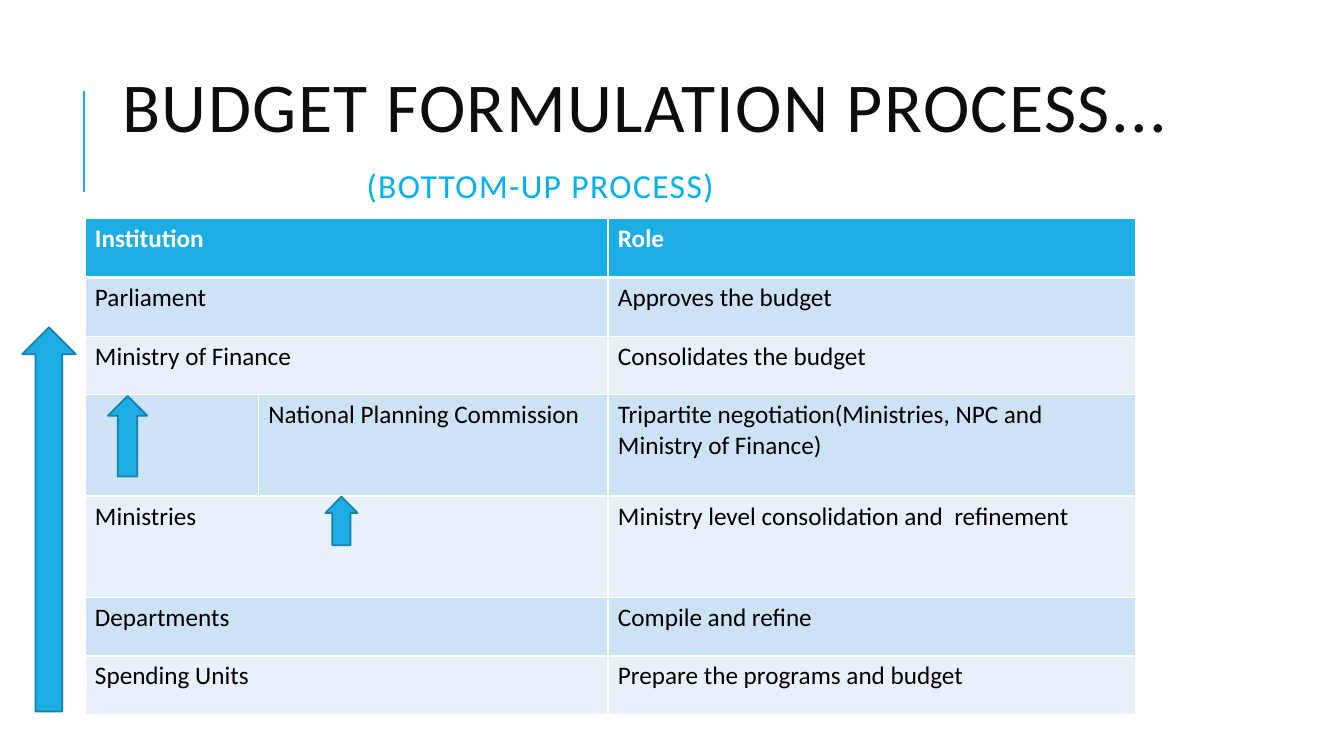
from lxml import etree
from pptx import Presentation
from pptx.dml.color import RGBColor
from pptx.enum.shapes import MSO_CONNECTOR, MSO_SHAPE
from pptx.enum.text import MSO_ANCHOR
from pptx.oxml.ns import qn
from pptx.util import Cm, Pt

LINE = MSO_CONNECTOR.STRAIGHT
UP_ARROW = MSO_SHAPE.UP_ARROW
TOP = MSO_ANCHOR.TOP

FONT = "Calibri"
ACCENT, ARROW_EDGE, WHITE, BLACK = "1CADE4", "1580A9", "FFFFFF", "000000"
BANDS = ("E8F1FA", "CDE3F5")

# text, size, colour, left indent in cm, space before in pt
HEADING = [
    ("BUDGET FORMULATION PROCESS...", 50, "0D0D0D", 0, 0),
    ("(BOTTOM-UP PROCESS)", 24, "00B0F0", 6.15, 19),
]
# institution, body consulted beside it, role; None joins the first two columns
STEPS = [
    ("Institution", None, "Role"),
    ("Parliament", None, "Approves the budget"),
    ("Ministry of Finance", None, "Consolidates the budget"),
    ("", "National Planning Commission",
     "Tripartite negotiation(Ministries, NPC and Ministry of Finance)"),
    ("Ministries", None, "Ministry level consolidation and  refinement"),
    ("Departments", None, "Compile and refine"),
    ("Spending Units", None, "Prepare the programs and budget"),
]
COLUMN_WIDTHS = (4.37, 8.81, 13.31)
ROW_HEIGHT, TALL_ROW_HEIGHT = 1.48, 2.55
TALL_ROWS = (3, 4)
TABLE_LEFT, TABLE_TOP = 2.14, 5.51

# left, top, width, height in cm, shaft share of the width
ARROWS = [
    (2.72, 9.98, 0.99, 2.03, 0.5),
    (0.56, 8.25, 1.35, 9.68, 0.5),
    (8.2, 12.52, 0.81, 1.22, 0.565),
]


def rgb(hex_colour):
    return RGBColor.from_string(hex_colour)


def style_runs(paragraph, size, colour, bold=False):
    for run in paragraph.runs:
        run.font.name = FONT
        run.font.size = Pt(size)
        run.font.bold = bold
        run.font.color.rgb = rgb(colour)


def set_borders(cell, **widths):
    """Draw white cell borders; widths in points are keyed L, R, T, B."""
    properties = cell._tc.get_or_add_tcPr()
    for side, width in widths.items():
        border = etree.SubElement(properties, qn(f"a:ln{side}"), w=str(Pt(width)))
        fill = etree.SubElement(border, qn("a:solidFill"))
        etree.SubElement(fill, qn("a:srgbClr"), val=WHITE)


def add_heading(slide):
    rule = slide.shapes.add_connector(LINE, Cm(2.11), Cm(4.83), Cm(2.11), Cm(2.29))
    rule.line.color.rgb = rgb(ACCENT)
    rule.line.width = Pt(1.5)
    etree.SubElement(rule._element.spPr, qn("a:effectLst"))

    frame = slide.shapes.add_textbox(Cm(2.84), Cm(1.63), Cm(27), Cm(4.17)).text_frame
    frame.word_wrap = True
    frame.vertical_anchor = TOP
    frame.margin_top = Cm(0.36)
    frame.margin_right = 0
    frame.text = "\n".join(line[0] for line in HEADING)
    for paragraph, (_, size, colour, indent, before) in zip(frame.paragraphs, HEADING):
        paragraph.line_spacing = 0.8
        paragraph.space_before = Pt(before)
        paragraph._p.get_or_add_pPr().set("marL", str(Cm(indent)))
        style_runs(paragraph, size, colour)
        for run in paragraph.runs:
            run.font._element.set("spc", "100")


def add_steps_table(slide):
    heights = [TALL_ROW_HEIGHT if row in TALL_ROWS else ROW_HEIGHT
               for row in range(len(STEPS))]
    table = slide.shapes.add_table(
        len(STEPS), len(COLUMN_WIDTHS), Cm(TABLE_LEFT), Cm(TABLE_TOP),
        Cm(sum(COLUMN_WIDTHS)), Cm(sum(heights))).table
    for column, width in zip(table.columns, COLUMN_WIDTHS):
        column.width = Cm(width)
    for row, (step, height) in enumerate(zip(STEPS, heights)):
        table.rows[row].height = Cm(height)
        header = row == 0
        for column, text in enumerate(step):
            cell = table.cell(row, column)
            set_borders(cell, L=1, R=1, T=3 if row == 1 else 1, B=3 if header else 1)
            cell.fill.solid()
            cell.fill.fore_color.rgb = rgb(ACCENT if header else BANDS[row % 2])
            if text:
                cell.text_frame.text = text
                style_runs(cell.text_frame.paragraphs[0], 18,
                           WHITE if header else BLACK, header)
        if step[1] is None:
            table.cell(row, 0).merge(table.cell(row, 1))


def add_arrows(slide):
    for left, top, width, height, shaft in ARROWS:
        arrow = slide.shapes.add_shape(UP_ARROW, Cm(left), Cm(top), Cm(width), Cm(height))
        arrow.adjustments[0] = shaft
        arrow.shadow.inherit = False
        arrow.fill.solid()
        arrow.fill.fore_color.rgb = rgb(ACCENT)
        arrow.line.color.rgb = rgb(ARROW_EDGE)
        arrow.line.width = Pt(1.25)


def main():
    deck = Presentation()
    deck.slide_width, deck.slide_height = Cm(33.87), Cm(19.05)
    slide = deck.slides.add_slide(deck.slide_layouts[6])
    add_heading(slide)
    add_steps_table(slide)
    add_arrows(slide)
    deck.save("out.pptx")


if __name__ == "__main__":
    main()
